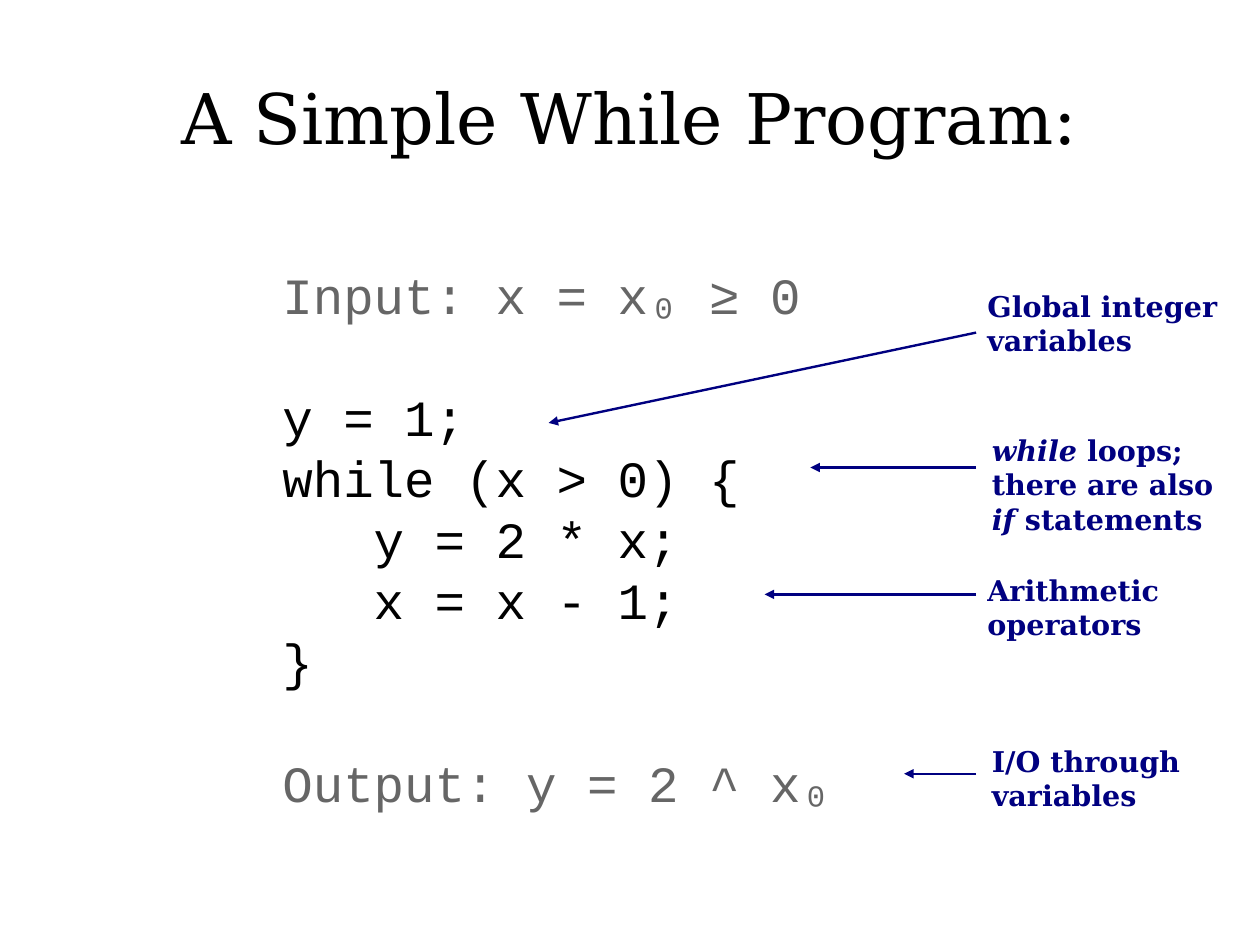
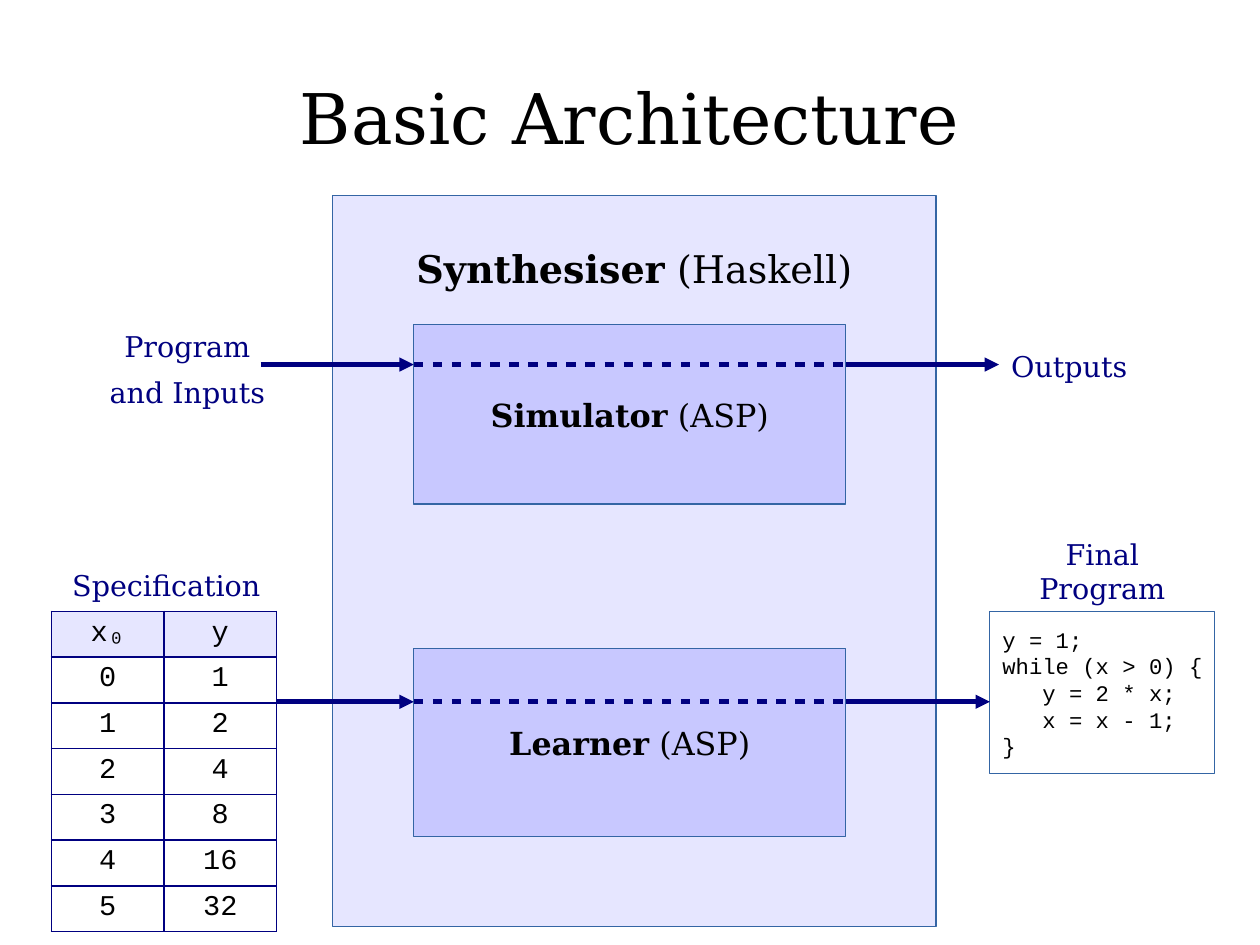
from dataclasses import dataclass

from lxml import etree
from pptx import Presentation
from pptx.dml.color import RGBColor as RGB
from pptx.enum.shapes import MSO_CONNECTOR as CONN, MSO_SHAPE as SHAPE
from pptx.enum.text import MSO_ANCHOR as ANCHOR, MSO_AUTO_SIZE as AUTO, PP_ALIGN as ALIGN
from pptx.oxml.ns import qn
from pptx.util import Cm, Inches, Pt


@dataclass(frozen=True)
class Theme:
    serif: str = "DejaVu Serif"
    mono: str = "Courier New"
    black: RGB = RGB(0, 0, 0)
    white: RGB = RGB(255, 255, 255)
    grey: RGB = RGB(0x66, 0x66, 0x66)
    navy: RGB = RGB(0, 0, 0x80)
    edge: RGB = RGB(0x34, 0x65, 0xA4)
    pale: RGB = RGB(0xE6, 0xE6, 0xFF)
    lilac: RGB = RGB(0xC8, 0xC8, 0xFF)
    title: int = 44
    code: int = 32
    heading: int = 24
    box: int = 20
    label: int = 18
    snippet: int = 14


T = Theme()
MONO_LINE = 1.2
MONO_CHAR = 0.6
PROGRAM = [(0, "y = 1;"), (0, "while (x > 0) {"), (3, "y = 2 * x;"),
           (3, "x = x - 1;"), (0, "}")]


def set_font(font, name, size, color, bold=None):
    font.name, font.size, font.bold = name, Pt(size), bold
    font.color.rgb = color


def set_frame(tf, anchor=ANCHOR.TOP, insets=(0.1, 0.05, 0.1, 0.05)):
    tf.word_wrap, tf.auto_size, tf.vertical_anchor = True, AUTO.NONE, anchor
    tf.margin_left, tf.margin_top, tf.margin_right, tf.margin_bottom = map(Inches, insets)


def next_paragraph(tf):
    return tf.paragraphs[0] if not tf.text else tf.add_paragraph()


def add_title(slide, text):
    sp = slide.shapes.title
    sp.left, sp.top, sp.width, sp.height = map(Inches, (0.55, 0.33, 9.92, 1.38))
    set_frame(sp.text_frame, ANCHOR.MIDDLE, (0, 0, 0, 0))
    sp.text_frame.text = text
    p = sp.text_frame.paragraphs[0]
    p.alignment = ALIGN.CENTER
    set_font(p.font, T.serif, T.title, T.black)


def add_text(slide, at):
    tf = slide.shapes.add_textbox(*map(Inches, at)).text_frame
    set_frame(tf)
    return tf


def add_label(slide, at, lines, gap=0):
    tf = add_text(slide, at)
    for i, line in enumerate(lines):
        p = next_paragraph(tf)
        p.text, p.alignment = line, ALIGN.CENTER
        p.space_before = Pt(gap if i else 0)
        set_font(p.font, T.serif, T.label, T.navy)


def add_note(slide, at, paragraphs):
    tf = add_text(slide, at)
    for runs in paragraphs:
        p = next_paragraph(tf)
        set_font(p.font, T.serif, T.label, T.navy, True)
        for text, italic in runs:
            r = p.add_run()
            r.text = text
            if italic:
                r.font.italic = True


def add_code(tf, lines, size, color=T.black, gap=0):
    for i, (indent, text) in enumerate(lines):
        p = next_paragraph(tf)
        p.text, p.alignment = text, ALIGN.LEFT
        p.space_before = Pt(0 if i else gap)
        if indent:
            pPr = p._p.get_or_add_pPr()
            pPr.set("marL", str(Pt(indent * MONO_CHAR * size)))
            pPr.set("indent", "0")
        set_font(p.font, T.mono, size, color)


def add_box(slide, at, fill):
    sp = slide.shapes.add_shape(SHAPE.RECTANGLE, *map(Inches, at))
    sp.shadow.inherit = False
    sp.fill.solid()
    sp.fill.fore_color.rgb = fill
    sp.line.color.rgb = T.edge
    sp.line.width = Pt(0)
    set_frame(sp.text_frame, ANCHOR.MIDDLE)
    return sp.text_frame


def add_component(slide, at, fill, name, language, size):
    tf = add_box(slide, at, fill)
    p = tf.paragraphs[0]
    p.alignment = ALIGN.CENTER
    set_font(p.font, T.serif, size, T.black)
    for text, bold in ((name, True), (f" ({language})", False)):
        r = p.add_run()
        r.text, r.font.bold = text, bold
    return tf


def add_line(slide, start, end, width, dashed=False):
    cx = slide.shapes.add_connector(CONN.STRAIGHT, *map(Inches, (*start, *end)))
    cx.line.color.rgb = T.navy
    cx.line.width = Pt(width)
    ln = cx.line._get_or_add_ln()
    if dashed:
        dash = etree.SubElement(ln, qn("a:custDash"))
        etree.SubElement(dash, qn("a:ds"), d="200000", sp="200000")
    else:
        etree.SubElement(ln, qn("a:tailEnd"), type="triangle")
    etree.SubElement(cx._element.spPr, qn("a:effectLst"))


def add_flow(slide, y, stops):
    for i, (x1, x2) in enumerate(zip(stops, stops[1:])):
        add_line(slide, (x1, y), (x2, y), 3, dashed=i == 1)


def set_borders(cell):
    tcPr = cell._tc.get_or_add_tcPr()
    for i, side in enumerate(("lnL", "lnR", "lnT", "lnB")):
        ln = etree.Element(qn(f"a:{side}"), w=str(Pt(1.13)))
        fill = etree.SubElement(ln, qn("a:solidFill"))
        etree.SubElement(fill, qn("a:srgbClr"), val=str(T.navy))
        tcPr.insert(i, ln)


def add_spec_table(slide, at, rows):
    x, y, w, row_h = at
    n = len(rows)
    table = slide.shapes.add_table(n, 2, *map(Inches, (x, y, w, n * row_h))).table
    for i, values in enumerate(rows):
        table.rows[i].height = Inches(row_h)
        for j, value in enumerate(values):
            cell = table.cell(i, j)
            cell.text = value
            cell.fill.solid()
            cell.fill.fore_color.rgb = T.white if i else T.pale
            p = cell.text_frame.paragraphs[0]
            p.alignment = ALIGN.CENTER
            set_font(p.font, T.mono, T.label, T.black, False)
            set_borders(cell)


def build_program_slide(slide):
    add_title(slide, "A Simple While Program:")
    tf = add_text(slide, (2.35, 1.71, 5.8, 6))
    set_frame(tf, ANCHOR.MIDDLE, (0.12, 0.07, 0.12, 0.07))
    blank = MONO_LINE * T.code
    add_code(tf, [(0, "Input: x = x₀ ≥ 0")], T.code, T.grey)
    add_code(tf, PROGRAM, T.code, gap=blank)
    add_code(tf, [(0, "Output: y = 2 ^ x₀")], T.code, T.grey, blank)

    notes = [
        ((8.54, 2.48, 2.48, 1.02), [[("Global integer variables", False)]],
         2.91, (4.8, 3.7)),
        ((8.58, 3.74, 2.36, 1.02),
         [[("while ", True), ("loops; there are also ", False),
           ("if ", True), ("statements", False)]],
         4.09, (7.09, 4.09)),
        ((8.54, 4.96, 2.24, 0.87), [[("Arithmetic operators", False)]],
         5.2, (6.69, 5.2)),
        ((8.58, 6.46, 2.4, 1.02), [[("I/O through", False)], [("variables", False)]],
         6.77, (7.91, 6.77)),
    ]
    for at, paragraphs, y, target in notes:
        add_note(slide, at, paragraphs)
        add_line(slide, (8.54, y), target, 1.5)


def build_architecture_slide(slide):
    add_title(slide, "Basic Architecture")
    tf = add_component(slide, (2.91, 1.71, 5.28, 6.4), T.pale,
                       "Synthesiser", "Haskell", T.heading)
    set_frame(tf, ANCHOR.TOP, (0.1, 0.44, 0.1, 0.05))
    left, width = 3.62, 3.78
    right = left + width
    for name, y, h in (("Simulator", 2.84, 1.57), ("Learner", 5.67, 1.65)):
        add_component(slide, (left, y, width, h), T.lilac, name, "ASP", T.box)

    add_spec_table(slide, (0.45, 5.35, 1.97, 0.4),
                   [("x₀", "y")] + [(str(x), str(2 ** x)) for x in range(6)])
    tf = add_box(slide, (8.66, 5.35, 1.97, 1.42), T.white)
    set_frame(tf, ANCHOR.MIDDLE, (0.11, 0.05, 0, 0.05))
    add_code(tf, PROGRAM, T.snippet)

    add_flow(slide, 3.19, (2.28, left, right, 8.74))
    add_flow(slide, 6.14, (2.42, left, right, 8.66))
    add_label(slide, (0.76, 2.83, 1.76, 0.78), ["Program", "and Inputs"], gap=7)
    add_label(slide, (8.7, 3, 1.31, 0.39), ["Outputs"])
    add_label(slide, (0.47, 4.92, 1.97, 0.4), ["Specification"])
    add_label(slide, (8.66, 4.65, 1.97, 0.68), ["Final", "Program"])


def main():
    prs = Presentation()
    prs.slide_width, prs.slide_height = Cm(28), Cm(21)
    title_only = prs.slide_layouts.get_by_name("Title Only")
    for build in (build_program_slide, build_architecture_slide):
        build(prs.slides.add_slide(title_only))
    prs.save("out.pptx")


if __name__ == "__main__":
    main()
